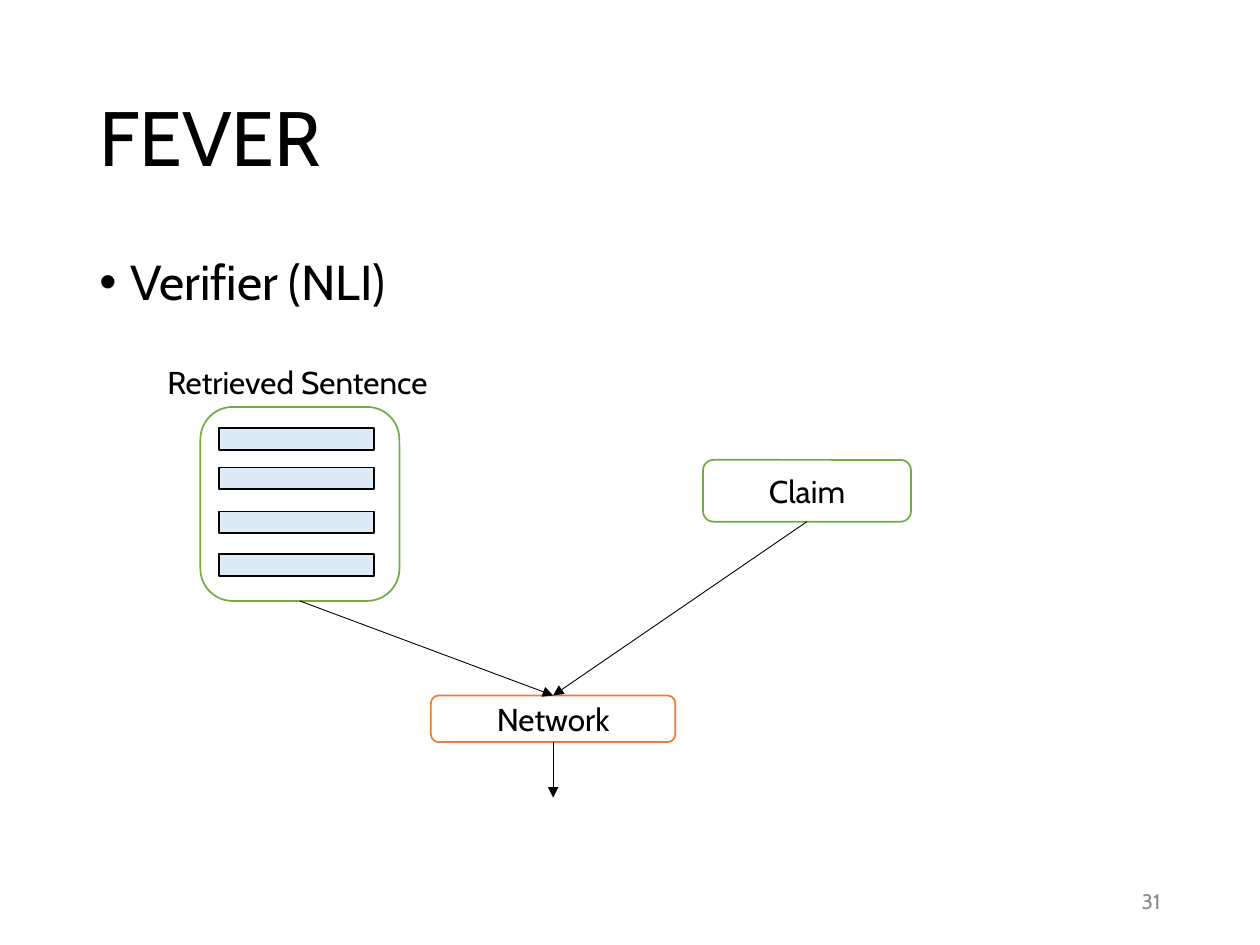
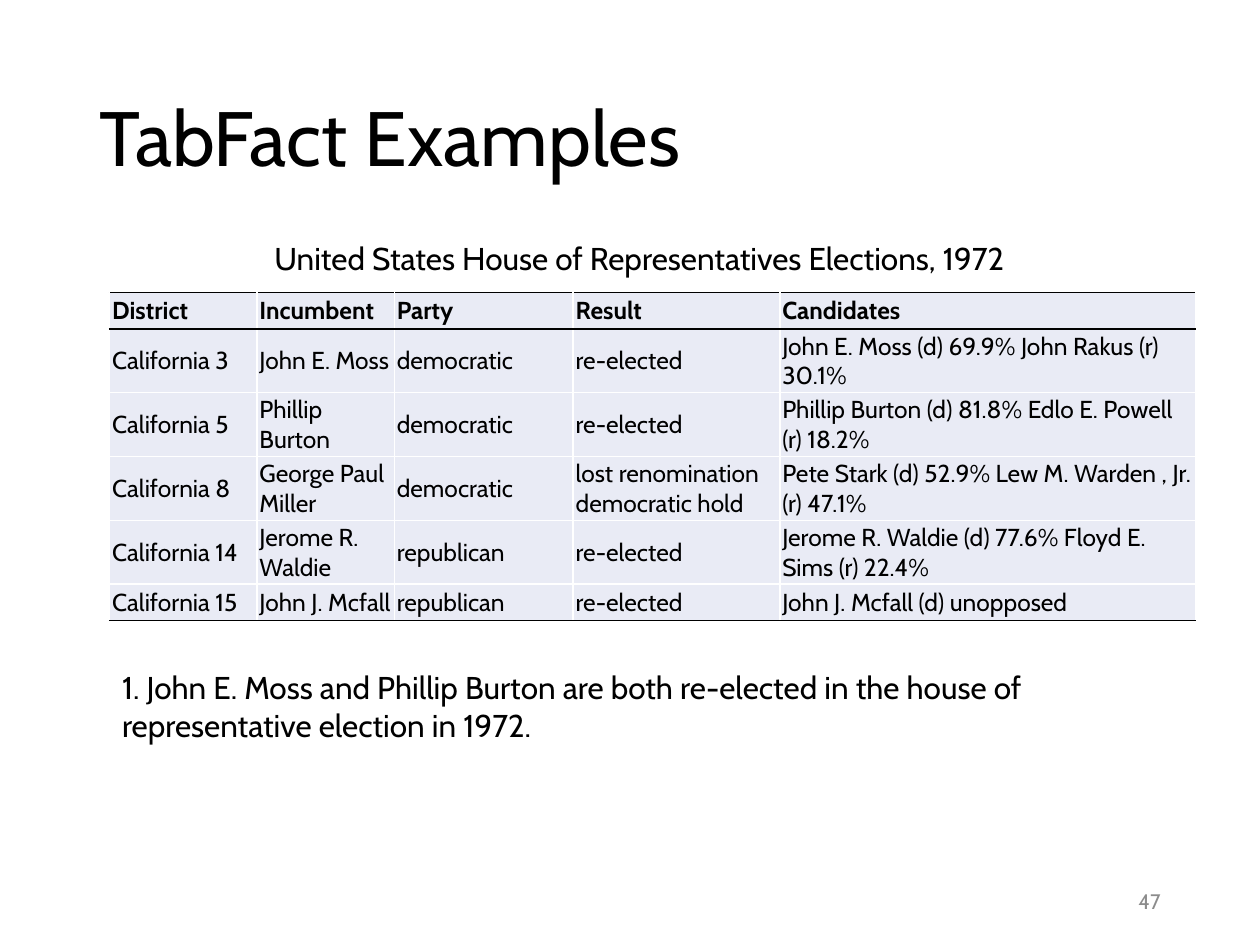
"""Build two slides: the FEVER verifier diagram and a TabFact table example."""
from lxml import etree
from pptx import Presentation
from pptx.dml.color import RGBColor
from pptx.enum.shapes import MSO_CONNECTOR, MSO_SHAPE
from pptx.enum.text import MSO_ANCHOR, PP_ALIGN
from pptx.oxml.ns import qn
from pptx.util import Inches, Pt

BLACK = RGBColor(0x00, 0x00, 0x00)
WHITE = RGBColor(0xFF, 0xFF, 0xFF)
GRAY = RGBColor(0x8C, 0x8C, 0x8C)
GREEN = RGBColor(0x70, 0xAD, 0x47)
ORANGE = RGBColor(0xED, 0x7D, 0x31)
PALE_BLUE = RGBColor(0xDE, 0xEB, 0xF7)
CELL_FILL = RGBColor(0xE9, 0xEB, 0xF5)
FONT = "Cabin"
ROUND, RECT = MSO_SHAPE.ROUNDED_RECTANGLE, MSO_SHAPE.RECTANGLE
STRAIGHT = MSO_CONNECTOR.STRAIGHT
TOP, MIDDLE = MSO_ANCHOR.TOP, MSO_ANCHOR.MIDDLE
LEFT, CENTER, RIGHT = PP_ALIGN.LEFT, PP_ALIGN.CENTER, PP_ALIGN.RIGHT
TOP_SITE, BOTTOM_SITE = 0, 2

TITLE_BOX = (0.69, 0.4, 8.62, 1.45)
NUMBER_BOX = (7.06, 6.95, 2.25, 0.4)

BULLET = ("Verifier (NLI)", (0.69, 2, 8.62, 4.76))
SENTENCES_LABEL = ("Retrieved Sentence", (1.17, 2.83, 2.38, 0.4))
NODES = {
    "sentences": ("", (1.59, 3.23, 1.58, 1.54), GREEN),
    "claim": ("Claim", (5.58, 3.65, 1.65, 0.49), GREEN),
    "network": ("Network", (3.42, 5.52, 1.94, 0.37), ORANGE),
}
SENTENCE_TOPS = (3.4, 3.71, 4.06, 4.4)
OUTPUT_END = 6.33

CAPTION = ("United States House of Representatives Elections, 1972",
           (2.08, 1.85, 6.57, 0.4))
STATEMENT = ("1. John E. Moss and Phillip Burton are both re-elected in the house of "
             "representative election in 1972.", (0.87, 5.25, 8.62, 0.71))
TABLE_ORIGIN = (0.87, 2.32)
COLUMN_WIDTHS = (1.17, 1.09, 1.42, 1.64, 3.3)
ROW_HEIGHT = 0.29
ELECTIONS = [
    ("District", "Incumbent", "Party", "Result", "Candidates"),
    ("California 3", "John E. Moss", "democratic", "re-elected",
     "John E. Moss (d) 69.9% John Rakus (r) 30.1%"),
    ("California 5", "Phillip Burton", "democratic", "re-elected",
     "Phillip Burton (d) 81.8% Edlo E. Powell (r) 18.2%"),
    ("California 8", "George Paul Miller", "democratic", "lost renomination democratic hold",
     "Pete Stark (d) 52.9% Lew M. Warden , Jr. (r) 47.1%"),
    ("California 14", "Jerome R. Waldie", "republican", "re-elected",
     "Jerome R. Waldie (d) 77.6% Floyd E. Sims (r) 22.4%"),
    ("California 15", "John J. Mcfall", "republican", "re-elected",
     "John J. Mcfall (d) unopposed"),
]


def inches(values):
    return [Inches(v) for v in values]


def write(tf, text, size, color=BLACK, align=LEFT, bold=False):
    p = tf.paragraphs[0]
    p.alignment = align
    r = p.add_run()
    r.text = text
    for name, value in {"name": FONT, "size": Pt(size), "bold": bold}.items():
        setattr(r.font, name, value)
    r.font.color.rgb = color
    return p


def add_text(s, text, box, size, anchor=TOP, **style):
    tf = s.shapes.add_textbox(*inches(box)).text_frame
    tf.word_wrap = True
    tf.vertical_anchor = anchor
    return write(tf, text, size, **style)


def add_box(s, kind, box, fill, line):
    sp = s.shapes.add_shape(kind, *inches(box))
    sp.shadow.inherit = False
    sp.fill.solid()
    sp.fill.fore_color.rgb = fill
    sp.line.color.rgb = line
    sp.line.width = Pt(1)
    return sp


def add_arrow(s, source, target=None, end=(0, 0)):
    arrow = s.shapes.add_connector(STRAIGHT, 0, 0, *inches(end))
    arrow.begin_connect(source, BOTTOM_SITE)
    if target is not None:
        arrow.end_connect(target, TOP_SITE)
    arrow.line.color.rgb = BLACK
    arrow.line.width = Pt(0.5)
    etree.SubElement(arrow.line._get_or_add_ln(), qn("a:tailEnd"), type="triangle")
    etree.SubElement(arrow._element.spPr, qn("a:effectLst"))


def set_borders(cell, colors):
    tc_pr = cell._tc.get_or_add_tcPr()
    for i, (side, color) in enumerate(colors.items()):
        ln = etree.Element(qn(f"a:ln{side}"), w=str(Pt(1)))
        fill = etree.SubElement(ln, qn("a:solidFill"))
        etree.SubElement(fill, qn("a:srgbClr"), val=str(color))
        tc_pr.insert(i, ln)


def add_slide(prs, title, number):
    s = prs.slides.add_slide(prs.slide_layouts[6])
    add_text(s, title, TITLE_BOX, 44, anchor=MIDDLE).line_spacing = 0.9
    add_text(s, str(number), NUMBER_BOX, 12, anchor=MIDDLE, color=GRAY, align=RIGHT)
    return s


def build_verifier(prs):
    s = add_slide(prs, "FEVER", 31)
    p = add_text(s, *BULLET, 28)
    p.line_spacing = 0.9
    p_pr = p._p.get_or_add_pPr()
    p_pr.set("marL", str(Inches(0.25)))
    p_pr.set("indent", str(Inches(-0.25)))
    etree.SubElement(p_pr, qn("a:buFont"), typeface="Arial")
    etree.SubElement(p_pr, qn("a:buChar"), char="•")

    nodes = {}
    for name, (text, box, line) in NODES.items():
        nodes[name] = add_box(s, ROUND, box, WHITE, line)
        if text:
            tf = nodes[name].text_frame
            tf.vertical_anchor = MIDDLE
            write(tf, text, 18, align=CENTER)
    for top in SENTENCE_TOPS:
        add_box(s, RECT, (1.74, top, 1.23, 0.17), PALE_BLUE, BLACK)
    add_text(s, *SENTENCES_LABEL, 18, align=CENTER)

    network = nodes["network"]
    for name in ("sentences", "claim"):
        add_arrow(s, nodes[name], network)
    left, _, width, _ = NODES["network"][1]
    add_arrow(s, network, end=(left + width / 2, OUTPUT_END))


def build_table(prs):
    s = add_slide(prs, "TabFact Examples", 47)
    rows, cols = len(ELECTIONS), len(COLUMN_WIDTHS)
    size = (sum(COLUMN_WIDTHS), rows * ROW_HEIGHT)
    table = s.shapes.add_table(rows, cols, *inches(TABLE_ORIGIN + size)).table
    table.first_row = table.horz_banding = False
    for column, width in zip(table.columns, COLUMN_WIDTHS):
        column.width = Inches(width)
    for i, record in enumerate(ELECTIONS):
        table.rows[i].height = Inches(ROW_HEIGHT)
        above = BLACK if i < 2 else WHITE
        below = BLACK if i in (0, rows - 1) else WHITE
        for j, text in enumerate(record):
            cell = table.cell(i, j)
            for side in ("left", "right", "top", "bottom"):
                setattr(cell, f"margin_{side}", Inches(0.02))
            cell.vertical_anchor = MIDDLE
            cell.fill.solid()
            cell.fill.fore_color.rgb = CELL_FILL
            set_borders(cell, {"L": WHITE, "R": WHITE, "T": above, "B": below})
            write(cell.text_frame, text, 14, bold=i == 0)
    for text, box in (CAPTION, STATEMENT):
        add_text(s, text, box, 18)


def main():
    prs = Presentation()
    prs.slide_width, prs.slide_height = Inches(10), Inches(7.5)
    build_verifier(prs)
    build_table(prs)
    prs.save("out.pptx")


if __name__ == "__main__":
    main()
